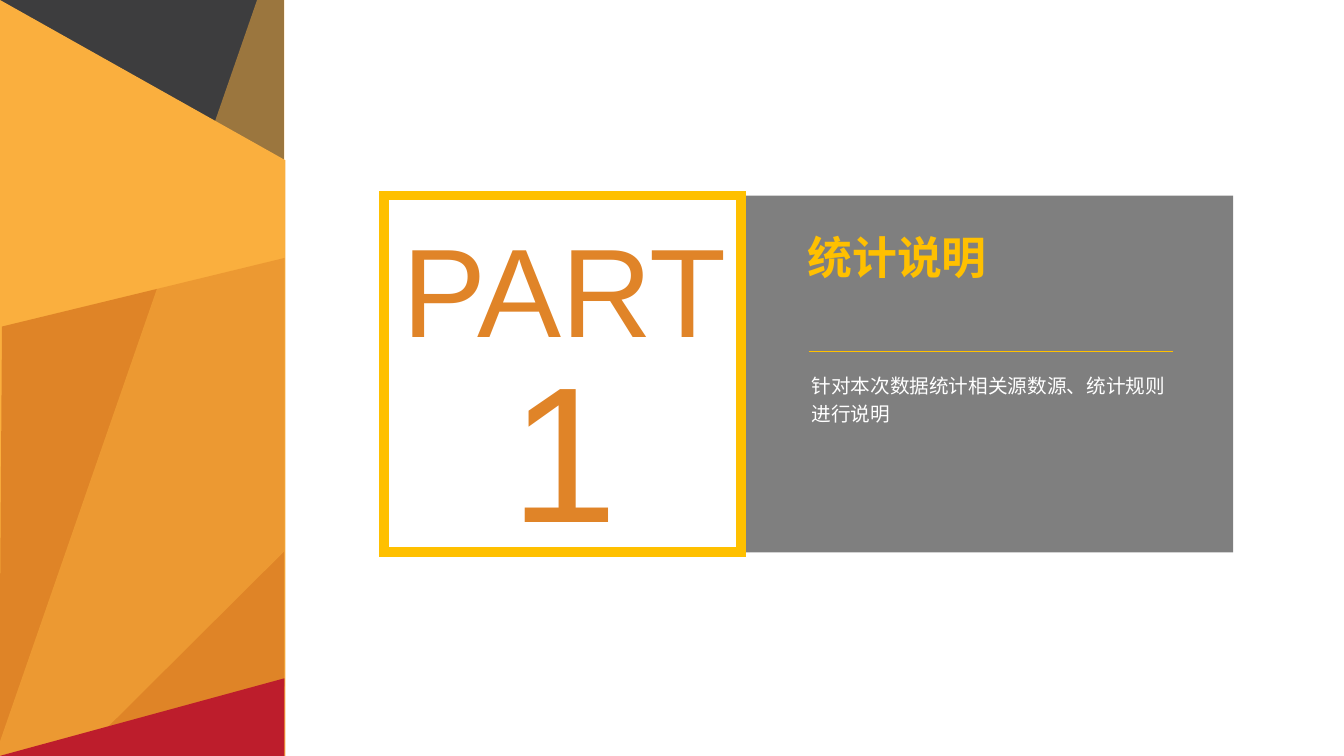
from dataclasses import dataclass

from lxml.etree import SubElement
from pptx import Presentation
from pptx.dml.color import RGBColor
from pptx.enum.shapes import MSO_CONNECTOR, MSO_SHAPE
from pptx.enum.text import PP_ALIGN
from pptx.oxml.ns import qn
from pptx.shapes.autoshape import Shape
from pptx.util import Inches, Pt

CHARCOAL = RGBColor(0x3D, 0x3D, 0x3E)
AMBER = RGBColor(0xFA, 0xAF, 0x3E)
RUST = RGBColor(0xC5, 0x5A, 0x11)
CRIMSON = RGBColor(0xBD, 0x1D, 0x2C)
ORANGE = RGBColor(0xE0, 0x84, 0x28)
GOLD = RGBColor(0xFF, 0xC0, 0x00)
BLACK = RGBColor(0, 0, 0)
WHITE = RGBColor(0xFF, 0xFF, 0xFF)
LATIN_FONT = "Arial"
CHINESE_FONT = "Noto Sans CJK SC"

Box = tuple[float, float, float, float]


@dataclass(frozen=True)
class Facet:
    """A flat polygon of the side band, with its corners in inches."""

    corners: tuple[tuple[float, float], ...]
    color: RGBColor
    opacity: int = 100


FACETS = (
    Facet(((0, 0), (2.82, 0), (2.82, 2.67), (0, 2.67)), CHARCOAL),
    Facet(((0, 0), (2.83, 1.59), (2.83, 7.5), (0, 7.5)), AMBER),
    Facet(((2.82, 2.56), (2.82, 6.81), (-0.01, 7.5), (0.02, 3.24)), RUST, 50),
    Facet(((2.55, 0), (2.82, 0), (2.82, 5.47), (0.78, 7.5), (-0.05, 7.5)), AMBER, 50),
    Facet(((-0.04, 7.51), (2.82, 6.73), (2.82, 7.53)), CRIMSON),
)

presentation = Presentation()
presentation.slide_width = Inches(13.33)
presentation.slide_height = Inches(7.5)
slide = presentation.slides.add_slide(presentation.slide_layouts[6])


def paint(shape: Shape, color: RGBColor, opacity: int = 100) -> None:
    """Give a shape a plain fill without outline or shadow."""
    shape.shadow.inherit = False
    shape.line.fill.background()
    shape.fill.solid()
    shape.fill.fore_color.rgb = color
    if opacity < 100:
        tint = shape.element.spPr.find(qn("a:solidFill")).find(qn("a:srgbClr"))
        SubElement(tint, qn("a:alpha")).set("val", str(opacity * 1000))


def draw_facet(facet: Facet) -> None:
    """Draw one polygon of the side band."""
    start, *others = [(Inches(x), Inches(y)) for x, y in facet.corners]
    outline = slide.shapes.build_freeform(*start)
    outline.add_line_segments(others, close=True)
    paint(outline.convert_to_shape(), facet.color, facet.opacity)


def add_rectangle(box: Box) -> Shape:
    """Add a rectangle at a box given in inches."""
    return slide.shapes.add_shape(MSO_SHAPE.RECTANGLE, *map(Inches, box))


def draw_frame(box: Box, color: RGBColor, width: float) -> None:
    """Draw an unfilled rectangle with a sharp-cornered outline."""
    frame = add_rectangle(box)
    frame.shadow.inherit = False
    frame.fill.background()
    frame.line.color.rgb = color
    frame.line.width = Pt(width)
    SubElement(frame.element.spPr.find(qn("a:ln")), qn("a:miter")).set("lim", "800000")


def draw_rule(left: float, right: float, y: float, color: RGBColor) -> None:
    """Draw a thin horizontal rule."""
    rule = slide.shapes.add_connector(
        MSO_CONNECTOR.STRAIGHT, Inches(left), Inches(y), Inches(right), Inches(y)
    )
    rule.line.color.rgb = color
    rule.line.width = Pt(0.5)
    SubElement(rule.element.spPr, qn("a:effectLst"))


def write(
    text: str,
    box: Box,
    *,
    size: float,
    color: RGBColor,
    font: str,
    bold: bool = False,
    align: PP_ALIGN = PP_ALIGN.LEFT,
    line_height: float | None = None,
) -> None:
    """Write one paragraph in a wrapping text box."""
    frame = slide.shapes.add_textbox(*map(Inches, box)).text_frame
    frame.word_wrap = True
    paragraph = frame.paragraphs[0]
    paragraph.alignment = align
    if line_height:
        paragraph.line_spacing = Pt(line_height)
    run = paragraph.add_run()
    run.text = text
    run.font.size = Pt(size)
    run.font.bold = bold
    run.font.color.rgb = color
    run.font.name = font
    SubElement(run.font._element, qn("a:ea")).set("typeface", font)


for facet in FACETS:
    draw_facet(facet)

paint(add_rectangle((7.35, 1.94, 4.88, 3.54)), BLACK, 50)
write("统计说明", (7.91, 2.23, 3.76, 0.64), size=32, color=GOLD, font=CHINESE_FONT, bold=True)
draw_rule(8.02, 11.63, 3.49, GOLD)
write(
    "针对本次数据统计相关源数源、统计规则进行说明",
    (7.95, 3.62, 3.86, 1.44),
    size=14,
    color=WHITE,
    font=CHINESE_FONT,
    line_height=20,
)

draw_frame((3.81, 1.94, 3.54, 3.54), GOLD, 7)
for label, top, height, size in (("PART", 2.05, 1.62, 90), ("1", 3.22, 2.42, 138)):
    write(
        label,
        (3.71, top, 3.78, height),
        size=size,
        color=ORANGE,
        font=LATIN_FONT,
        align=PP_ALIGN.CENTER,
    )

presentation.save("out.pptx")
